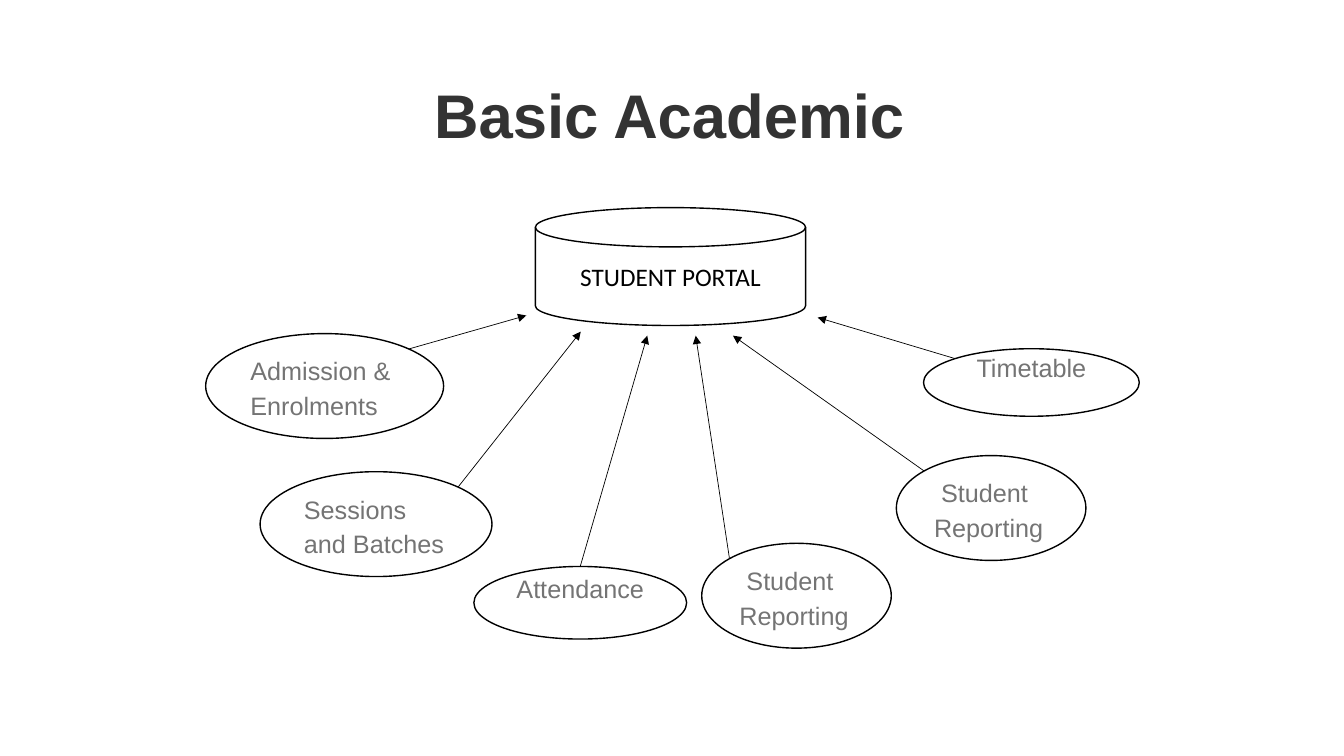
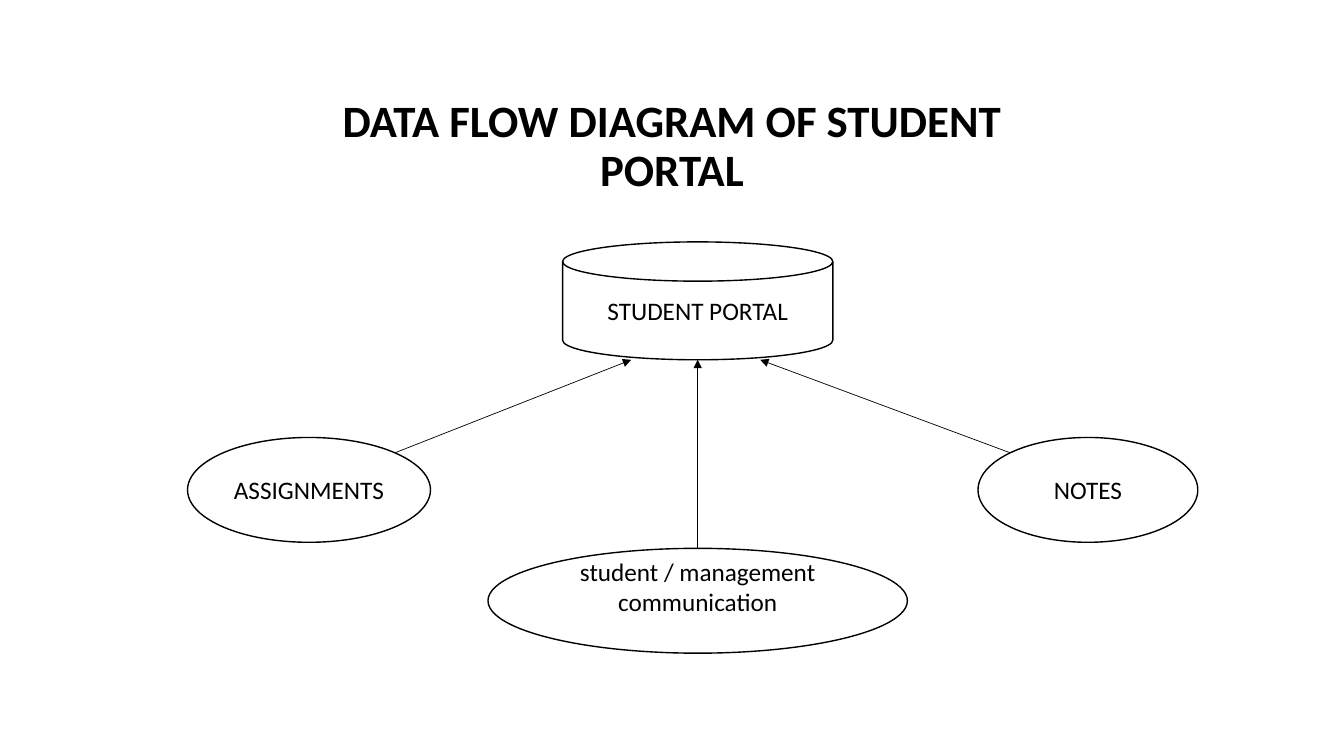
from dataclasses import dataclass
from math import sqrt

from lxml import etree
from pptx import Presentation
from pptx import util as u
from pptx.dml.color import RGBColor
from pptx.enum import shapes, text
from pptx.oxml import ns

BLACK = RGBColor(0x00, 0x00, 0x00)
WHITE = RGBColor(0xFF, 0xFF, 0xFF)
CHARCOAL = RGBColor(0x33, 0x33, 0x33)
GREY = RGBColor(0x74, 0x74, 0x74)

PORTAL_SIZE = (2.68, 1.17)
RAISED_INSET = 0.34
LEFT, MIDDLE, RIGHT = -1, 0, 1


@dataclass(frozen=True)
class Style:
    font: str
    size: int
    color: RGBColor
    bold: bool = False
    spacing: float = 1.0


HEADING = Style("Arial", 44, CHARCOAL, True)
DIAGRAM_HEADING = Style("Calibri", 32, BLACK, True, 0.9)
LABEL = Style("Calibri", 18, BLACK)
MODULE = Style("Arial", 18, GREY)
LISTED_MODULE = Style("Arial", 18, GREY, spacing=1.15)


@dataclass(frozen=True)
class Node:
    label: str
    box: tuple
    exit_side: int
    target: tuple
    style: Style = LABEL
    raised: bool = False
    indent: float = 0


def write(s, label, style):
    tf = s.text_frame
    tf.text = label
    tf.word_wrap = True
    tf.vertical_anchor = text.MSO_ANCHOR.MIDDLE
    p = tf.paragraphs[0]
    p.alignment = text.PP_ALIGN.CENTER
    p.line_spacing = style.spacing
    font = p.runs[0].font
    font.name = style.font
    font.size = u.Pt(style.size)
    font.bold = style.bold
    font.color.rgb = style.color
    return p


def add_title(slide, label, box, style):
    s = slide.shapes.add_textbox(*map(u.Inches, box))
    write(s, label, style)


def add_outlined(slide, kind, label, box, style):
    s = slide.shapes.add_shape(kind, *map(u.Inches, box))
    s.shadow.inherit = False
    s.fill.solid()
    s.fill.fore_color.rgb = WHITE
    s.line.color.rgb = BLACK
    s.line.width = u.Pt(1)
    return s, write(s, label, style)


def add_arrow(slide, start, end):
    points = map(u.Inches, (*start, *end))
    c = slide.shapes.add_connector(shapes.MSO_CONNECTOR.STRAIGHT, *points)
    c.line.color.rgb = BLACK
    c.line.width = u.Pt(0.5)
    sp_pr = c._element.spPr
    etree.SubElement(sp_pr.find(ns.qn("a:ln")), ns.qn("a:tailEnd"), type="triangle")
    etree.SubElement(sp_pr, ns.qn("a:effectLst"))


def exit_point(box, side):
    x, y, w, h = box
    if side == MIDDLE:
        return x + w / 2, y
    reach = 1 / sqrt(8)
    return x + w / 2 + side * w * reach, y + h / 2 - h * reach


def add_node(slide, node):
    s, p = add_outlined(slide, shapes.MSO_SHAPE.OVAL, node.label, node.box, node.style)
    if node.raised:
        s.text_frame.margin_bottom = u.Inches(RAISED_INSET)
    if node.style is LISTED_MODULE:
        p.alignment = text.PP_ALIGN.LEFT
        p.space_before = p.space_after = u.Pt(5)
    if node.indent:
        p._p.get_or_add_pPr().set("indent", str(u.Inches(node.indent)))
    add_arrow(slide, exit_point(node.box, node.exit_side), node.target)


def add_portal_slide(prs, title, title_box, title_style, portal_at, nodes):
    slide = prs.slides.add_slide(prs.slide_layouts[6])
    add_title(slide, title, title_box, title_style)
    add_outlined(slide, shapes.MSO_SHAPE.FLOWCHART_MAGNETIC_DISK,
                 "STUDENT PORTAL", (*portal_at, *PORTAL_SIZE), LABEL)
    for node in nodes:
        add_node(slide, node)


ACADEMIC_NODES = [
    Node("Admission & Enrolments", (2.04, 3.31, 2.36, 1.04), RIGHT, (5.22, 3.13),
         LISTED_MODULE),
    Node("Sessions and Batches", (2.58, 4.68, 2.3, 1.04), RIGHT, (5.76, 3.29),
         LISTED_MODULE),
    Node("Attendance", (4.7, 5.62, 2.11, 0.72), MIDDLE, (6.42, 3.33),
         MODULE, raised=True),
    Node("Student Reporting", (6.96, 5.39, 1.88, 1.04), LEFT, (6.9, 3.33),
         LISTED_MODULE, indent=0.07),
    Node("Student Reporting", (8.89, 4.52, 1.88, 1.04), LEFT, (7.27, 3.33),
         LISTED_MODULE, indent=0.07),
    Node("Timetable", (9.16, 3.46, 2.14, 0.67), LEFT, (8.11, 3.15),
         MODULE, raised=True),
]

FLOW_NODES = [
    Node("ASSIGNMENTS", (1.86, 4.34, 2.41, 1.04), RIGHT, (6.26, 3.57)),
    Node("student / management communication", (4.84, 5.44, 4.16, 1.04), MIDDLE,
         (6.92, 3.57), raised=True),
    Node("NOTES", (9.7, 4.34, 2.18, 1.04), LEFT, (7.54, 3.57)),
]


def main():
    prs = Presentation()
    prs.slide_width, prs.slide_height = u.Inches(13.33), u.Inches(7.5)
    add_portal_slide(prs, "Basic Academic", (4.18, 0.74, 4.92, 0.77), HEADING,
                     (5.31, 2.06), ACADEMIC_NODES)
    add_portal_slide(prs, "DATA FLOW DIAGRAM OF STUDENT PORTAL",
                     (2.6, 1.08, 8.13, 0.77), DIAGRAM_HEADING,
                     (5.58, 2.4), FLOW_NODES)
    prs.save("out.pptx")


if __name__ == "__main__":
    main()
